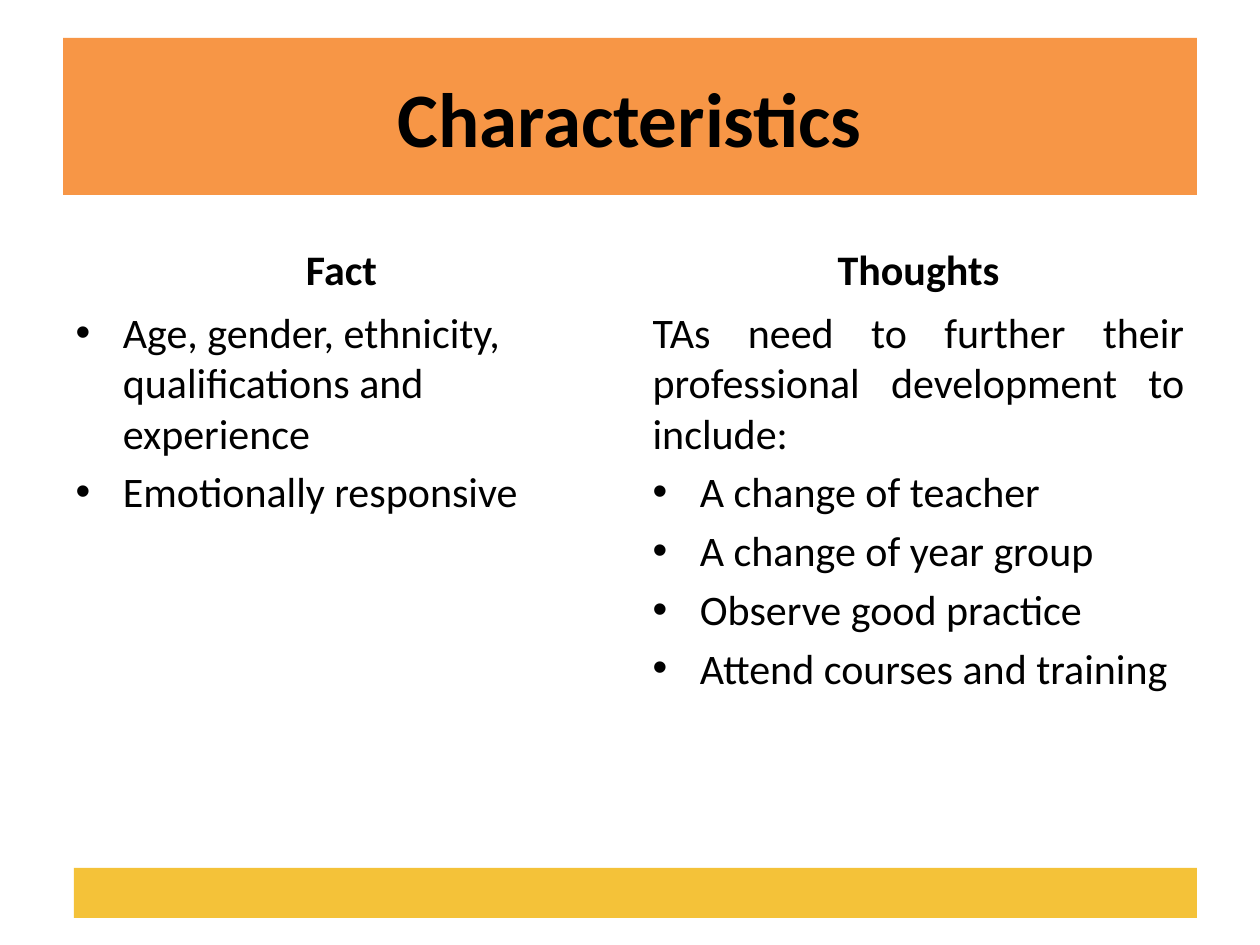
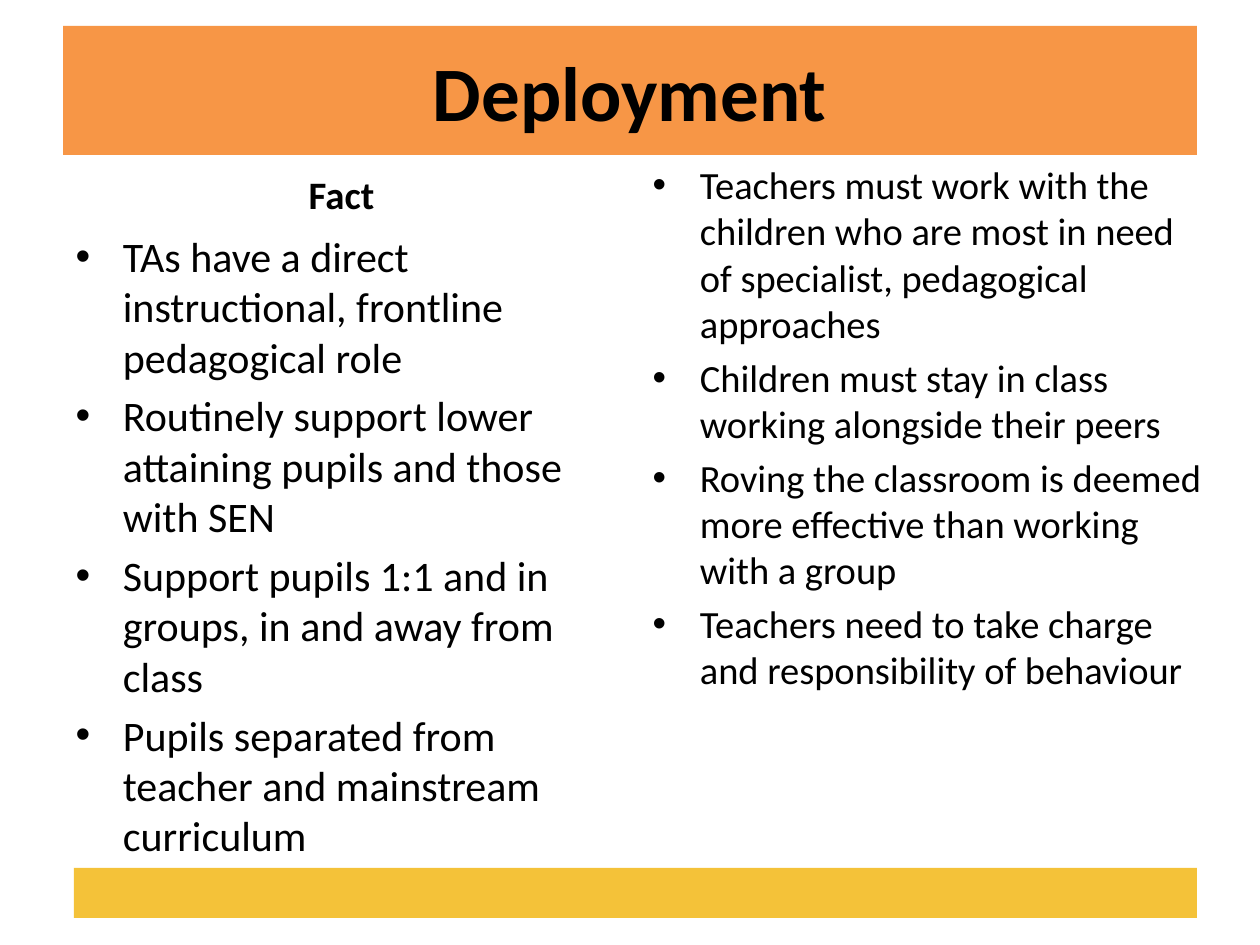
from dataclasses import dataclass

from lxml.etree import SubElement
from pptx import Presentation
from pptx.dml.color import RGBColor as Color
from pptx.enum.shapes import MSO_SHAPE as Shape
from pptx.enum.text import MSO_ANCHOR as Anchor, MSO_AUTO_SIZE as AutoSize, PP_ALIGN as Align
from pptx.oxml.ns import qn
from pptx.util import Inches, Pt

PX = Inches(1) / 126
COMPARISON_LAYOUT = 4
LEFT = 63
CONTENT_WIDTH = 1134
COLUMN_WIDTH = 557
COLUMN_LEFTS = (LEFT, LEFT + CONTENT_WIDTH - COLUMN_WIDTH)
HEADING_IDS = (1, 3)
LIST_IDS = (2, 4)


@dataclass(frozen=True)
class Theme:
    font: str = "Calibri"
    text: Color = Color.from_string("000000")
    paper: Color = Color.from_string("FFFFFF")
    title_band: Color = Color.from_string("F79646")
    footer_band: Color = Color.from_string("F4C239")
    title_size: float = 44
    body_size: float = 24
    small_heading_size: float = 22.2
    small_body_size: float = 22


def px(*lengths):
    return [round(length * PX) for length in lengths]


class Deck:
    def __init__(self, theme):
        self.theme = theme
        self.presentation = Presentation()
        self.presentation.slide_width, self.presentation.slide_height = px(1260, 945)
        self.slide = None

    def add_slide(self):
        layout = self.presentation.slide_layouts[COMPARISON_LAYOUT]
        self.slide = self.presentation.slides.add_slide(layout)

    def place(self, placeholder_id, box, anchor, fill=None):
        """Move a template placeholder, fix its text size and return it."""
        shape = next(item for item in self.slide.placeholders
                     if item.placeholder_format.idx == placeholder_id)
        shape.left, shape.top, shape.width, shape.height = px(*box)
        shape.text_frame.auto_size = AutoSize.NONE
        shape.text_frame.word_wrap = True
        shape.text_frame.vertical_anchor = anchor
        if fill is not None:
            shape.fill.solid()
            shape.fill.fore_color.rgb = fill
        return shape

    def format(self, paragraph, size, bold=False, align=Align.LEFT):
        paragraph.alignment = align
        font = paragraph.font
        font.name, font.size, font.bold = self.theme.font, Pt(size), bold
        font.color.rgb = self.theme.text

    def title(self, text, top, height):
        shape = self.place(0, (LEFT, top, CONTENT_WIDTH, height),
                           Anchor.MIDDLE, self.theme.title_band)
        shape.text_frame.text = text
        self.format(shape.text_frame.paragraphs[0], self.theme.title_size, True, Align.CENTER)

    def heading(self, column, text, top, height, size):
        shape = self.place(HEADING_IDS[column],
                           (COLUMN_LEFTS[column], top, COLUMN_WIDTH, height), Anchor.BOTTOM)
        shape.text_frame.text = text
        paragraph = shape.text_frame.paragraphs[0]
        paragraph.space_before = Pt(0)
        self.format(paragraph, size, True, Align.CENTER)

    def bullets(self, column, items, top, height, size, width=COLUMN_WIDTH, intro=None):
        """Fill a column with bullets, after an optional justified intro without one."""
        shape = self.place(LIST_IDS[column], (COLUMN_LEFTS[column], top, width, height),
                           Anchor.TOP, self.theme.paper)
        frame = shape.text_frame
        frame.text = "\n".join([intro, *items] if intro else items)
        first = frame.paragraphs[0]
        first.space_before = Pt(0)
        if intro:
            properties = first._p.get_or_add_pPr()
            properties.set("marL", "0")
            properties.set("indent", "0")
            SubElement(properties, qn("a:buNone"))
        for paragraph in frame.paragraphs:
            self.format(paragraph, size)
        if intro:
            first.alignment = Align.JUSTIFY

    def footer_band(self):
        band = self.slide.shapes.add_shape(Shape.RECTANGLE, *px(74, 868, 1123, 50))
        band.shadow.inherit = False
        band.fill.solid()
        band.fill.fore_color.rgb = self.theme.footer_band
        band.line.fill.background()

    def finish_slide(self):
        """Add the shared footer and drop the placeholders left empty."""
        for placeholder in list(self.slide.placeholders):
            if not placeholder.text_frame.text:
                placeholder.element.getparent().remove(placeholder.element)
        self.footer_band()


def characteristics(deck):
    size = deck.theme.body_size
    deck.add_slide()
    deck.title("Characteristics", 38, 157)
    for column, text in enumerate(("Fact", "Thoughts")):
        deck.heading(column, text, 212, 88, size)
    deck.bullets(0, [
        "Age, gender, ethnicity, qualifications and experience",
        "Emotionally responsive",
    ], 300, 272, size)
    deck.bullets(1, [
        "A change of teacher",
        "A change of year group",
        "Observe good practice",
        "Attend courses and training",
    ], 300, 411, size, intro="TAs need to further their professional development to include:")
    deck.finish_slide()


def deployment(deck):
    deck.add_slide()
    deck.title("Deployment", 26, 129)
    deck.heading(0, "Fact", 175, 49, deck.theme.small_heading_size)
    deck.bullets(0, [
        "TAs have a direct instructional, frontline pedagogical role",
        "Routinely support lower attaining pupils and those with SEN",
        "Support pupils 1:1 and in groups, in and away from class",
        "Pupils separated from teacher and mainstream curriculum",
    ], 224, 625, deck.theme.body_size)
    deck.bullets(1, [
        "Teachers must work with the children who are most in need of specialist, "
        "pedagogical approaches",
        "Children must stay in class working alongside their peers",
        "Roving the classroom is deemed more effective than working with a group",
        "Teachers need to take charge and responsibility of behaviour",
    ], 155, 576, deck.theme.small_body_size, width=586)
    deck.finish_slide()


def main():
    deck = Deck(Theme())
    characteristics(deck)
    deployment(deck)
    deck.presentation.save("out.pptx")


if __name__ == "__main__":
    main()
